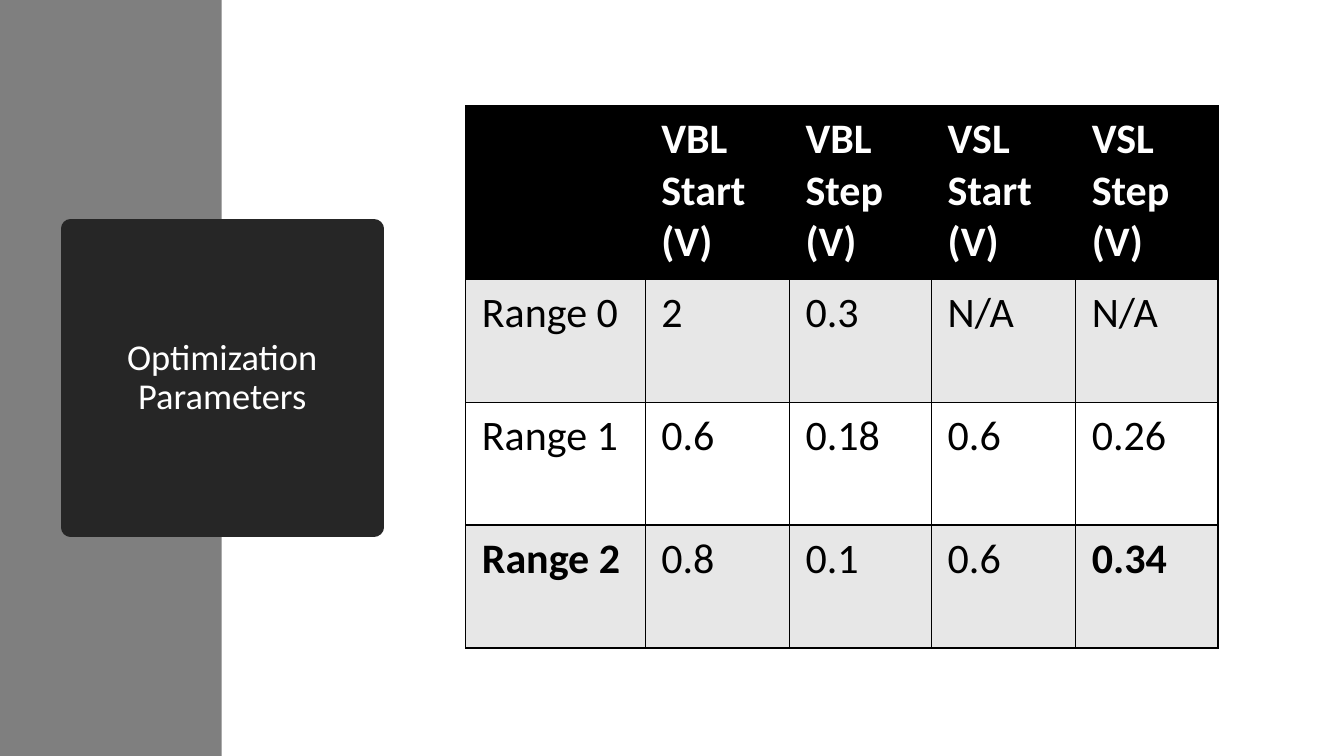
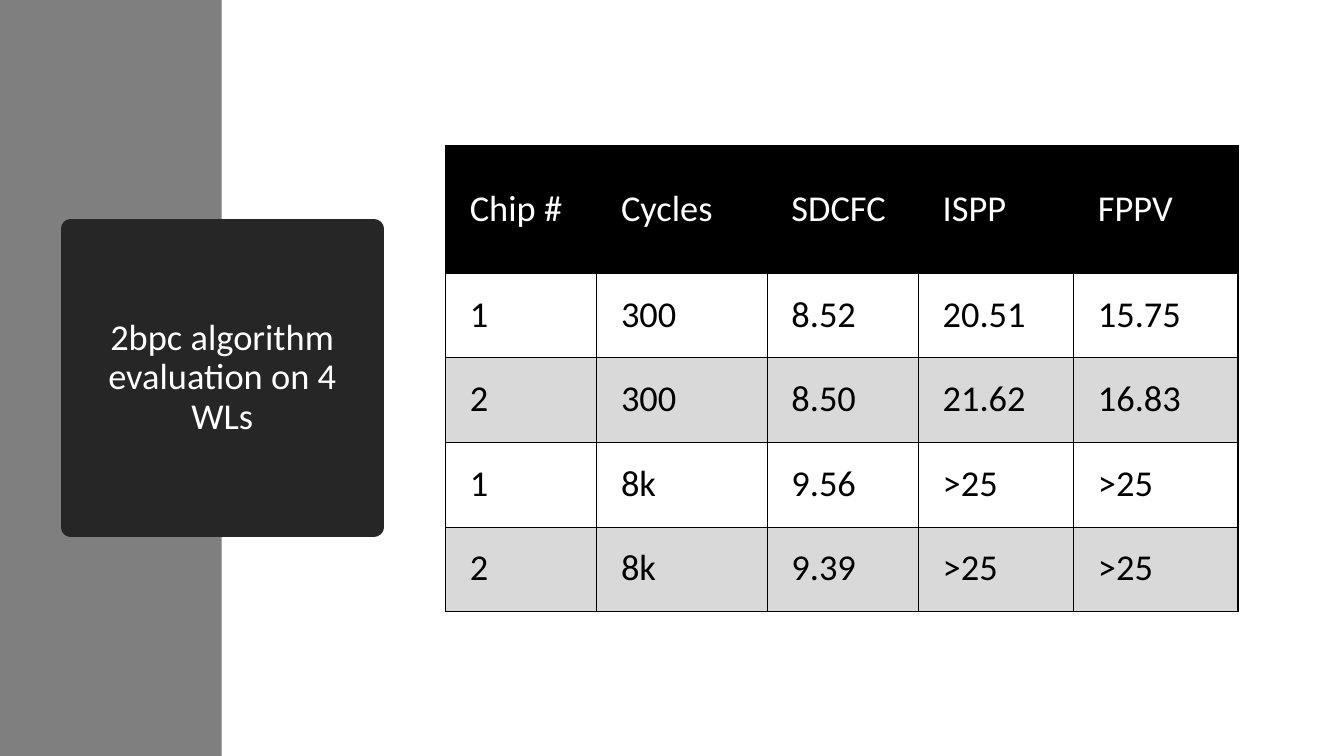
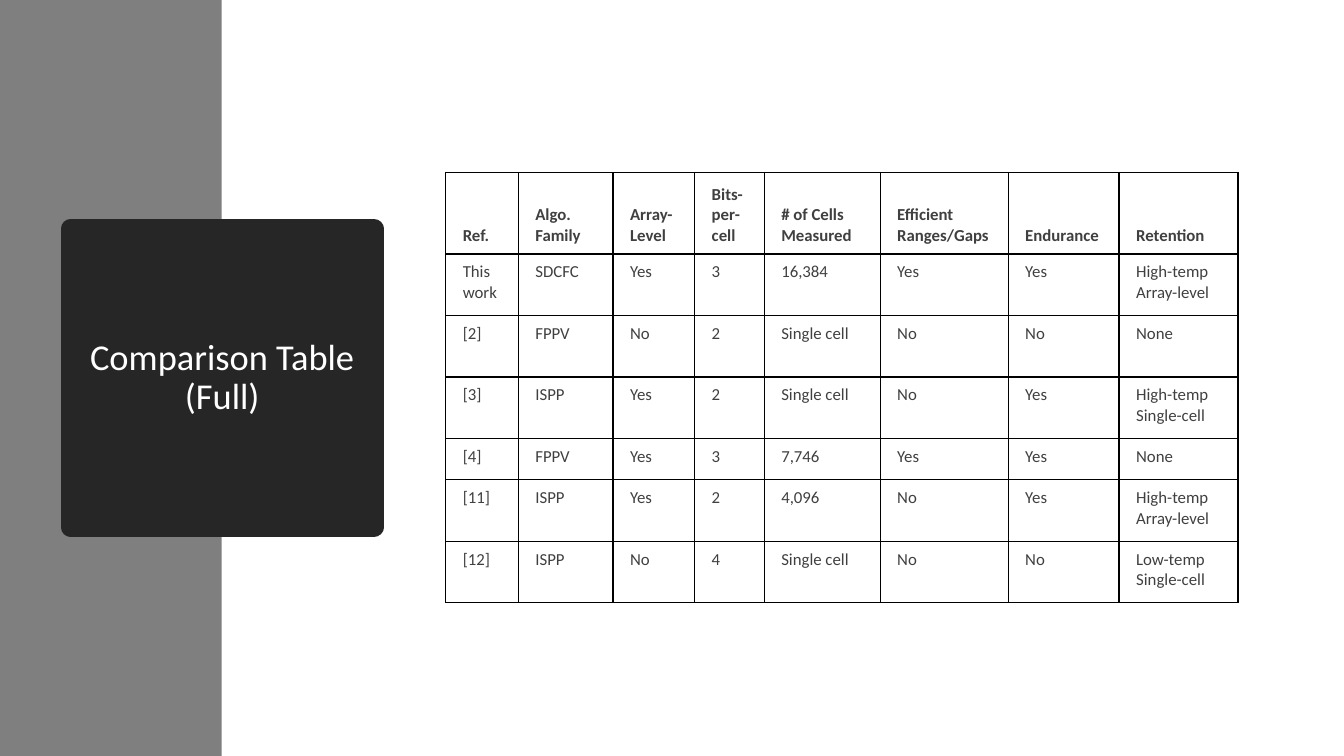
from lxml import etree
from pptx import Presentation
from pptx.dml.color import RGBColor
from pptx.enum.shapes import MSO_SHAPE
from pptx.enum.text import MSO_ANCHOR, MSO_AUTO_SIZE, PP_ALIGN
from pptx.oxml.ns import qn
from pptx.util import Inches, Pt

BLACK = RGBColor(0x00, 0x00, 0x00)
WHITE = RGBColor(0xFF, 0xFF, 0xFF)
BAND_GRAY = RGBColor(0x7F, 0x7F, 0x7F)
TITLE_GRAY = RGBColor(0x26, 0x26, 0x26)
TEXT_GRAY = RGBColor(0x40, 0x40, 0x40)
PALE_GRAY = RGBColor(0xE7, 0xE7, 0xE7)
LIGHT_GRAY = RGBColor(0xD9, 0xD9, 0xD9)

RECTANGLE = MSO_SHAPE.RECTANGLE
TOP = MSO_ANCHOR.TOP
MIDDLE = MSO_ANCHOR.MIDDLE
BOTTOM = MSO_ANCHOR.BOTTOM
CENTER = PP_ALIGN.CENTER
NO_AUTOFIT = MSO_AUTO_SIZE.NONE

FONT = "Calibri"
TITLE_ONLY = 5


def write_text(frame, text, size, color, bold=False, align=None, spacing=None):
    frame.text = text
    for paragraph in frame.paragraphs:
        paragraph.alignment = align
        paragraph.line_spacing = spacing
        for font in [paragraph.font] + [run.font for run in paragraph.runs]:
            font.name = FONT
            font.size = Pt(size)
            font.bold = bold
            font.color.rgb = color


def paint(fill, color):
    if color is None:
        fill.background()
    else:
        fill.solid()
        fill.fore_color.rgb = color


def outline_cell(cell, color=BLACK, width=1):
    properties = cell._tc.get_or_add_tcPr()
    for index, side in enumerate(("a:lnL", "a:lnR", "a:lnT", "a:lnB")):
        line = etree.Element(qn(side), w=str(Pt(width)))
        solid = etree.SubElement(line, qn("a:solidFill"))
        etree.SubElement(solid, qn("a:srgbClr"), val=str(color))
        properties.insert(index, line)


class Deck:
    def __init__(self):
        self.presentation = Presentation()
        self.presentation.slide_width = Inches(13.33)
        self.presentation.slide_height = Inches(7.5)
        self.slide = None

    def add_slide(self, title):
        layout = self.presentation.slide_layouts[TITLE_ONLY]
        self.slide = self.presentation.slides.add_slide(layout)
        self.add_band()
        self.add_title(title)

    def add_band(self):
        band = self.slide.shapes.add_shape(
            RECTANGLE, 0, 0, Inches(2.2), self.presentation.slide_height)
        band.shadow.inherit = False
        paint(band.fill, BAND_GRAY)
        band.line.fill.background()
        self.slide.shapes._spTree.insert(2, band._element)

    def add_title(self, text):
        title = self.slide.shapes.title
        title.left, title.top = Inches(0.7), Inches(2.27)
        title.width, title.height = Inches(3.01), Inches(2.96)
        paint(title.fill, TITLE_GRAY)
        paint(title.line.fill, TITLE_GRAY)
        title.line.width = Pt(13.75)
        frame = title.text_frame
        frame.word_wrap = True
        frame.auto_size = NO_AUTOFIT
        frame.vertical_anchor = MIDDLE
        write_text(frame, text, 26, WHITE, align=CENTER, spacing=0.9)

    def add_table(self, left, top, widths, heights, rows, size, insets,
                  header_color=BLACK, header_fill=None, header_anchor=TOP,
                  header_bold=True, text_color=BLACK,
                  row_fills=(None, None), bold_cells=()):
        frame = self.slide.shapes.add_table(
            len(rows), len(widths), Inches(left), Inches(top),
            Inches(sum(widths)), Inches(sum(heights)))
        table = frame.table
        table.first_row = False
        table.horz_banding = False
        for column, width in zip(table.columns, widths):
            column.width = Inches(width)
        for row, height in zip(table.rows, heights):
            row.height = Inches(height)
        for row_index, values in enumerate(rows):
            header = row_index == 0
            fill = header_fill if header else row_fills[(row_index - 1) % 2]
            color = header_color if header else text_color
            for column_index, value in enumerate(values):
                cell = table.cell(row_index, column_index)
                (cell.margin_left, cell.margin_top, cell.margin_right,
                 cell.margin_bottom) = map(Inches, insets)
                cell.vertical_anchor = header_anchor if header else TOP
                bold = (header_bold if header
                        else (row_index, column_index) in bold_cells)
                write_text(cell.text_frame, value, size, color, bold=bold)
                paint(cell.fill, fill)
                outline_cell(cell)


def add_parameters(deck):
    deck.add_slide("Optimization Parameters")
    deck.add_table(
        4.62, 1.05, [1.78, 1.43, 1.41, 1.43, 1.41], [1.72] + [1.22] * 3,
        [
            ["", "VBL Start (V)", "VBL Step (V)", "VSL Start (V)", "VSL Step (V)"],
            ["Range 0", "2", "0.3", "N/A", "N/A"],
            ["Range 1", "0.6", "0.18", "0.6", "0.26"],
            ["Range 2", "0.8", "0.1", "0.6", "0.34"],
        ],
        size=30, insets=(0.16, 0.08, 0.16, 0.08),
        header_color=WHITE, header_fill=BLACK,
        row_fills=(PALE_GRAY, WHITE), bold_cells=((3, 0), (3, 4)))


def add_evaluation(deck):
    deck.add_slide("2bpc algorithm evaluation on 4 WLs")
    deck.add_table(
        4.42, 1.44, [1.5, 1.69, 1.5, 1.54, 1.63], [1.27] + [0.84] * 4,
        [
            ["Chip #", "Cycles", "SDCFC", "ISPP", "FPPV"],
            ["1", "300", "8.52", "20.51", "15.75"],
            ["2", "300", "8.50", "21.62", "16.83"],
            ["1", "8k", "9.56", ">25", ">25"],
            ["2", "8k", "9.39", ">25", ">25"],
        ],
        size=26, insets=(0.24, 0.19, 0.18, 0.19),
        header_color=WHITE, header_fill=BLACK, header_anchor=MIDDLE,
        header_bold=False, row_fills=(None, LIGHT_GRAY))


def add_comparison(deck):
    deck.add_slide("Comparison Table (Full)")
    deck.add_table(
        4.42, 1.71, [0.72, 0.94, 0.81, 0.69, 1.15, 1.27, 1.1, 1.18],
        [0.81, 0.61, 0.61, 0.61, 0.41, 0.61, 0.61],
        [
            ["Ref.", "Algo. Family", "Array-Level", "Bits-per-cell",
             "# of Cells Measured", "Efficient Ranges/Gaps", "Endurance",
             "Retention"],
            ["This work", "SDCFC", "Yes", "3", "16,384", "Yes", "Yes",
             "High-temp\nArray-level"],
            ["[2]", "FPPV", "No", "2", "Single cell", "No", "No", "None"],
            ["[3]", "ISPP", "Yes", "2", "Single cell", "No", "Yes",
             "High-temp\nSingle-cell"],
            ["[4]", "FPPV", "Yes", "3", "7,746", "Yes", "Yes", "None"],
            ["[11]", "ISPP", "Yes", "2", "4,096", "No", "Yes",
             "High-temp\nArray-level"],
            ["[12]", "ISPP", "No", "4", "Single cell", "No", "No",
             "Low-temp\nSingle-cell"],
        ],
        size=12, insets=(0.17, 0.08, 0.08, 0.08),
        header_color=TEXT_GRAY, header_anchor=BOTTOM, text_color=TEXT_GRAY)


def main():
    deck = Deck()
    add_parameters(deck)
    add_evaluation(deck)
    add_comparison(deck)
    deck.presentation.save("out.pptx")


if __name__ == "__main__":
    main()
